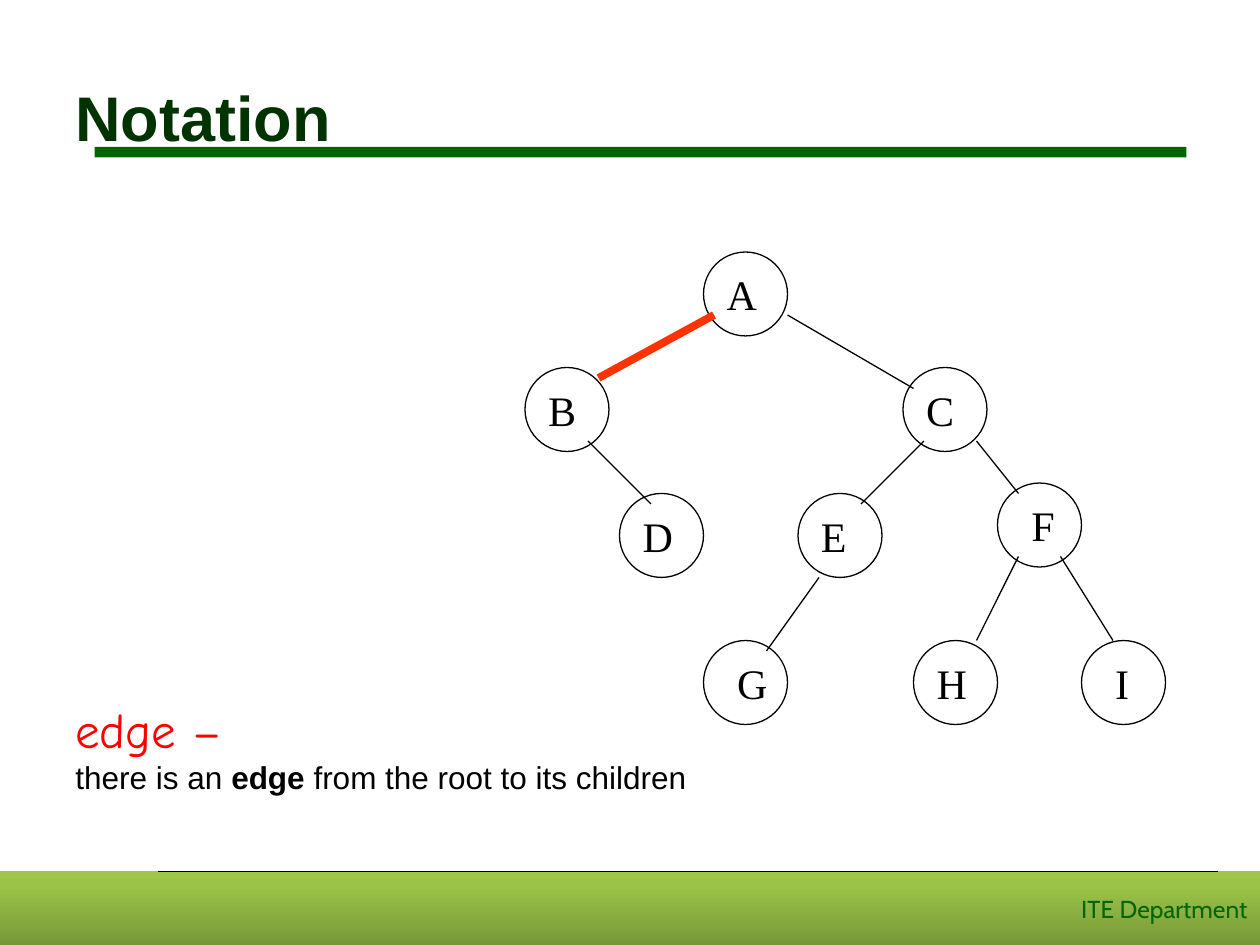
from copy import deepcopy

from pptx import Presentation
from pptx import util as u
from pptx.dml.color import RGBColor
from pptx.enum import shapes, text
from pptx.oxml.ns import qn

COLORS = {
    "black": "000000", "red": "FF0000", "edge": "FF3300",
    "title": "003300", "green": "006600",
}
FOOTER_STOPS = [(0, "779737"), (0.8, "9BC348"), (1, "9DC746")]
GRID = 2.54 / 12
NODE_SIZE = 8
# name: (left, top, label offset, label width in cm)
NODES = {
    "A": (67, 24, 1, 1.12), "B": (50, 35, 1, 1.07), "C": (86, 35, 1, 1.07),
    "D": (59, 47, 1, 1.12), "E": (76, 47, 1, 1.02), "F": (95, 46, 2, 0.99),
    "G": (67, 61, 2, 1.12), "H": (87, 61, 1, 1.12), "I": (103, 61, 2, 0.79),
}
EDGES = [
    (75, 30, 87, 37), (56, 42, 62, 48), (88, 42, 82, 48), (93, 42, 97, 47),
    (78, 55, 73, 62), (97, 53, 93, 61), (101, 53, 106, 61),
]


def rgb(name):
    return RGBColor.from_string(COLORS[name])


def grid(*values):
    return [u.Cm(v * GRID) for v in values]


def add_run(p, content, size=18, font="Arial", color="black", bold=False):
    r = p.add_run()
    r.text = content
    r.font.size, r.font.name, r.font.bold = u.Pt(size), font, bold
    r.font.color.rgb = rgb(color)


class Deck:
    """Holds the style and the current slide of a tree notation lesson."""

    def __init__(self):
        self.prs = Presentation()
        self.prs.slide_width, self.prs.slide_height = u.Cm(25.4), u.Cm(19.05)
        self.s = self.prs.slides.add_slide(self.prs.slide_layouts[6])

    def shape(self, kind, box, fill=None, line=None):
        sp = self.s.shapes.add_shape(kind, *grid(*box))
        sp.shadow.inherit = False
        if fill:
            sp.fill.solid()
            sp.fill.fore_color.rgb = rgb(fill)
        else:
            sp.fill.background()
        if line:
            sp.line.color.rgb, sp.line.width = rgb(line), u.Pt(0.75)
        else:
            sp.line.fill.background()
        return sp

    def footer(self, box, label):
        sp = self.shape(shapes.MSO_SHAPE.RECTANGLE, box)
        sp.fill.gradient()
        sp.fill.gradient_angle = 90
        stops = sp._element.spPr.find(".//" + qn("a:gsLst"))
        stops.append(deepcopy(stops[-1]))
        for stop, (position, color) in zip(sp.fill.gradient_stops, FOOTER_STOPS):
            stop.position = position
            stop.color.rgb = RGBColor.from_string(color)
        tf = sp.text_frame
        tf.vertical_anchor = text.MSO_ANCHOR.MIDDLE
        tf.paragraphs[0].alignment = text.PP_ALIGN.RIGHT
        add_run(tf.paragraphs[0], label, size=14, font="Cabin", color="green")

    def line(self, ends, color="black", width=0.75):
        c = self.s.shapes.add_connector(shapes.MSO_CONNECTOR.STRAIGHT, *grid(*ends))
        c.line.color.rgb, c.line.width = rgb(color), u.Pt(width)
        c._element.spPr.add_effectLst() if hasattr(
            c._element.spPr, "add_effectLst"
        ) else c._element.spPr.append(
            c._element.makeelement(qn("a:effectLst"), {})
        )

    def textbox(self, left, top, width, height, wrap=False):
        tf = self.s.shapes.add_textbox(left, top, width, height).text_frame
        tf.word_wrap = wrap
        return tf

    def node(self, left, top):
        box = (left, top, NODE_SIZE, NODE_SIZE)
        self.shape(shapes.MSO_SHAPE.OVAL, box, line="black")

    def label(self, name, left, top, offset, width):
        tf = self.textbox(*grid(left + offset, top + 1), u.Cm(width), u.Cm(1.27))
        tf.paragraphs[0].alignment = text.PP_ALIGN.CENTER
        add_run(tf.paragraphs[0], name, size=24, font="Times New Roman")

    def title(self, content):
        tf = self.textbox(*grid(6, 3.6, 108, 15), wrap=True)
        tf.vertical_anchor = text.MSO_ANCHOR.MIDDLE
        add_run(tf.paragraphs[0], content, size=36, color="title", bold=True)

    def definition(self, term, parts):
        tf = self.textbox(*grid(6, 66, 60.6, 10.4))
        add_run(tf.paragraphs[0], term, size=28, font="Comic Neue", color="red")
        p = tf.add_paragraph()
        for content, bold in parts:
            add_run(p, content, bold=bold)


def main():
    deck = Deck()
    deck.footer((0, 83, 120, 7), "ITE Department")
    deck.line((15, 83, 116, 83))
    deck.shape(shapes.MSO_SHAPE.RECTANGLE, (9, 14, 104, 1), fill="green")
    deck.title("Notation")
    for left, top, *_ in NODES.values():
        deck.node(left, top)
    deck.line((68, 30, 57, 36), color="edge", width=4.5)
    for ends in EDGES:
        deck.line(ends)
    for name, place in NODES.items():
        deck.label(name, *place)
    deck.definition("edge –", [
        ("there is an ", False),
        ("edge ", True),
        ("from the root to its children", False),
    ])
    deck.prs.save("out.pptx")


if __name__ == "__main__":
    main()
